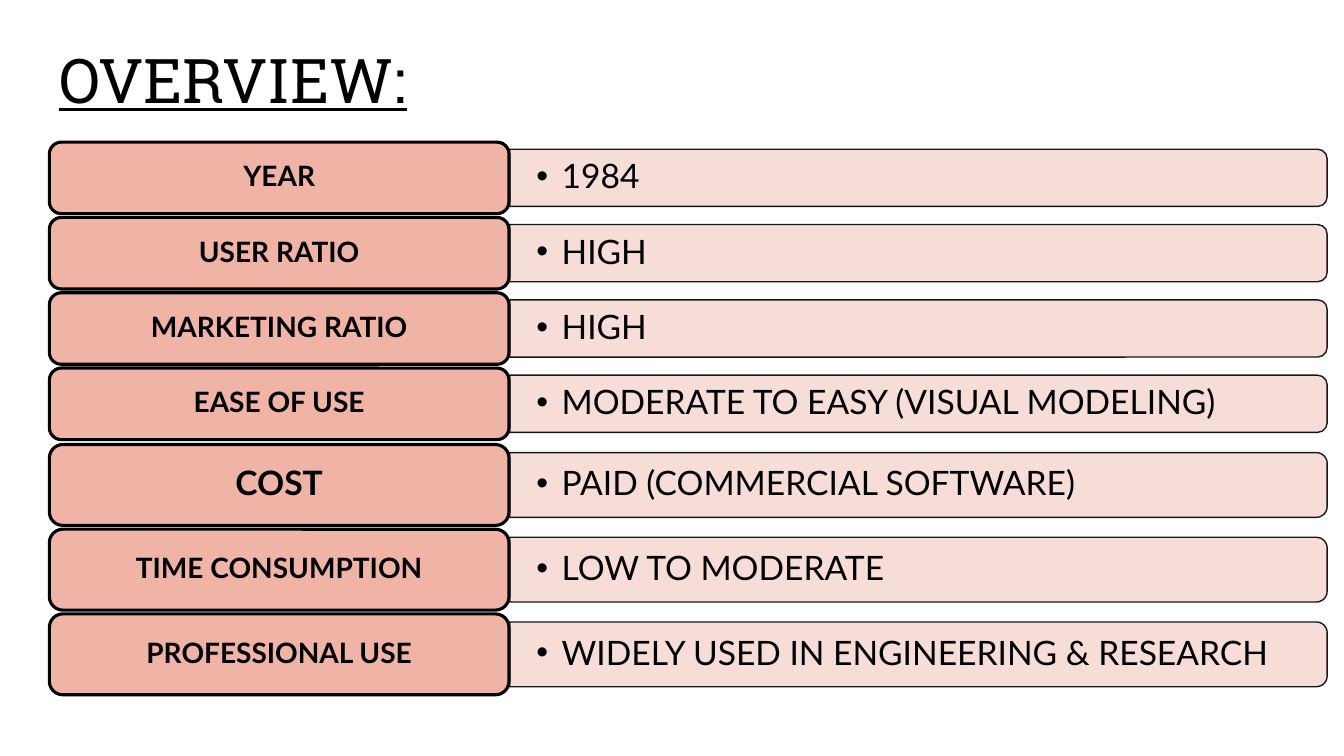
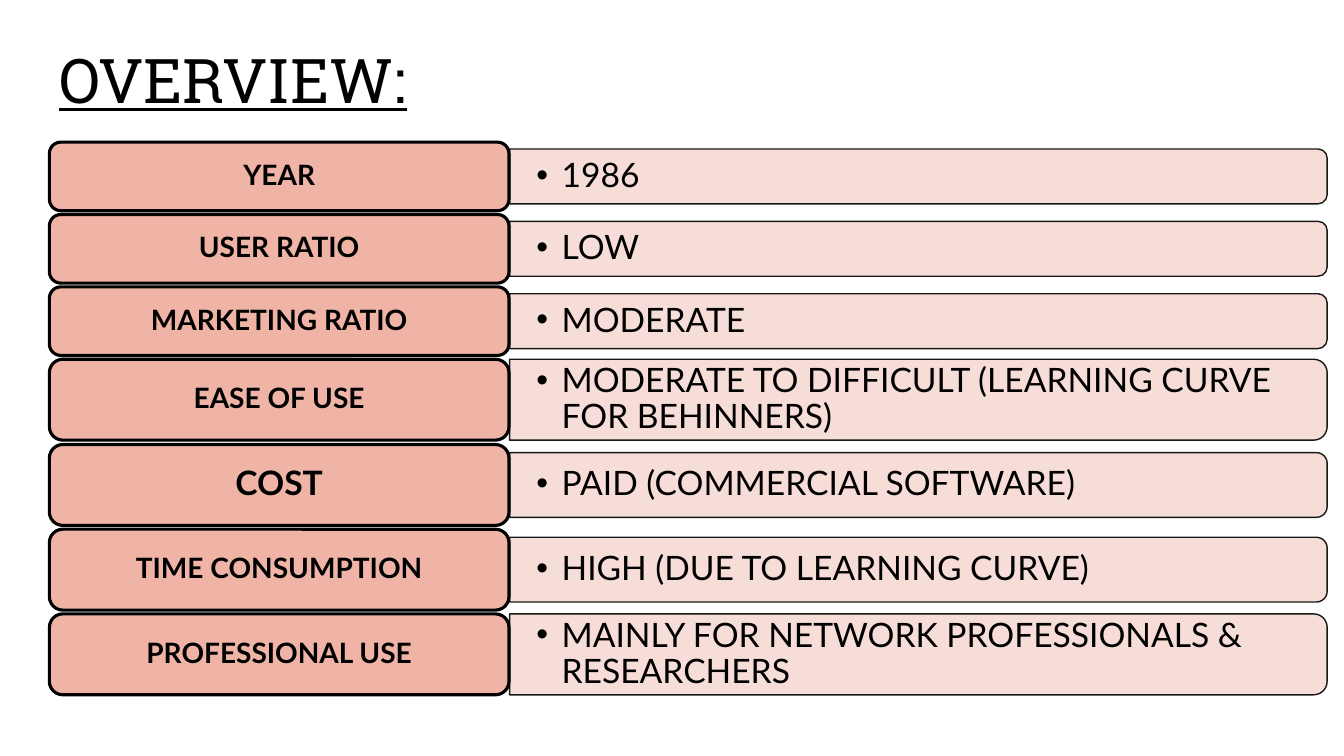
"""Builds two overview slides, each pairing seven criteria with their values."""
from lxml import etree
from pptx import Presentation
from pptx.dml.color import RGBColor
from pptx.enum import shapes, text
from pptx.oxml import ns
from pptx.util import Pt

BLACK, SALMON, BLUSH = "000000", "EFB4A6", "F7DAD3"
LABEL_LEFT, LABEL_WIDTH = 35.3, 328.3
VALUE_LEFT, VALUE_WIDTH = 364, 584
ROW_GAP = 2.7
SHORT_BAR = 0.8
GROUP_TOPS = {"YEAR": 101.5, "COST": 317.5}
LABELS = ["YEAR", "USER RATIO", "MARKETING RATIO", "EASE OF USE",
          "COST", "TIME CONSUMPTION", "PROFESSIONAL USE"]

OVERVIEWS = [
    {"heights": [51.1] * 4 + [57.8] * 3,
     "two_line": [],
     "values": ["1984", "HIGH", "HIGH", "MODERATE TO EASY (VISUAL MODELING)",
                "PAID (COMMERCIAL SOFTWARE)", "LOW TO MODERATE",
                "WIDELY USED IN ENGINEERING & RESEARCH"]},
    {"heights": [49] * 3 + [57.8] * 4,
     "two_line": ["EASE OF USE", "PROFESSIONAL USE"],
     "values": ["1986", "LOW", "MODERATE",
                "MODERATE TO DIFFICULT (LEARNING CURVE FOR BEHINNERS)",
                "PAID (COMMERCIAL SOFTWARE)", "HIGH (DUE TO LEARNING CURVE)",
                "MAINLY FOR NETWORK PROFESSIONALS & RESEARCHERS"]},
]


def color(value):
    return RGBColor.from_string(value)


def write(frame, words, size, font="Lato", align=text.PP_ALIGN.LEFT):
    frame.word_wrap = True
    frame.vertical_anchor = text.MSO_ANCHOR.MIDDLE
    frame.text = words
    paragraph = frame.paragraphs[0]
    paragraph.alignment = align
    paragraph.line_spacing = 0.9
    paragraph.font.name = font
    paragraph.font.size = Pt(size)
    paragraph.font.color.rgb = color(BLACK)
    return paragraph


deck = Presentation()
deck.slide_width, deck.slide_height = Pt(960), Pt(540)
layout = deck.slide_layouts[5]
heading = layout.placeholders[0]
heading.left, heading.top = Pt(LABEL_LEFT), Pt(7.2)
heading.width, heading.height = Pt(828), Pt(104.4)

for overview in OVERVIEWS:
    slide = deck.slides.add_slide(layout)
    title = write(slide.shapes.title.text_frame, "OVERVIEW:", 44, "Roboto Slab")
    title.font.underline = True

    top = 0
    for label, value, height in zip(LABELS, overview["values"], overview["heights"]):
        top = GROUP_TOPS.get(label, top)
        middle = top + height / 2
        thickness = height if label in overview["two_line"] else height * SHORT_BAR

        bar = slide.shapes.add_shape(
            shapes.MSO_SHAPE.ROUND_2_SAME_RECTANGLE,
            Pt(VALUE_LEFT + (VALUE_WIDTH - thickness) / 2), Pt(middle - VALUE_WIDTH / 2),
            Pt(thickness), Pt(VALUE_WIDTH))
        bar.rotation = 90
        bar.shadow.inherit = False
        bar.fill.solid()
        bar.fill.fore_color.rgb = color(BLUSH)
        bar.line.color.rgb = color(BLACK)
        bar.line.width = Pt(1)
        for tint in bar.element.spPr.iter(ns.qn("a:srgbClr")):
            etree.SubElement(tint, ns.qn("a:alpha"), val="90000")

        answer = slide.shapes.add_textbox(
            Pt(VALUE_LEFT), Pt(top), Pt(VALUE_WIDTH - 2), Pt(height)).text_frame
        answer.margin_left = answer.margin_right = Pt(19.2)
        answer.margin_top = answer.margin_bottom = 0
        bullet = write(answer, value, 24)._p.get_or_add_pPr()
        bullet.set("marL", str(Pt(18)))
        bullet.set("indent", str(-Pt(18)))
        etree.SubElement(bullet, ns.qn("a:buFont"), typeface="Arial")
        mark = etree.SubElement(bullet, ns.qn("a:buChar"), char="•")
        defaults = bullet.find(ns.qn("a:defRPr"))
        if defaults is not None:
            mark.addnext(defaults)

        criterion = slide.shapes.add_shape(
            shapes.MSO_SHAPE.ROUNDED_RECTANGLE,
            Pt(LABEL_LEFT), Pt(top), Pt(LABEL_WIDTH), Pt(height))
        criterion.shadow.inherit = False
        criterion.fill.solid()
        criterion.fill.fore_color.rgb = color(SALMON)
        criterion.line.color.rgb = color(BLACK)
        criterion.line.width = Pt(2.25)
        name = write(criterion.text_frame, label, 24 if label == "COST" else 20,
                     align=text.PP_ALIGN.CENTER)
        name.font.bold = True

        top += height + ROW_GAP

deck.save("out.pptx")
